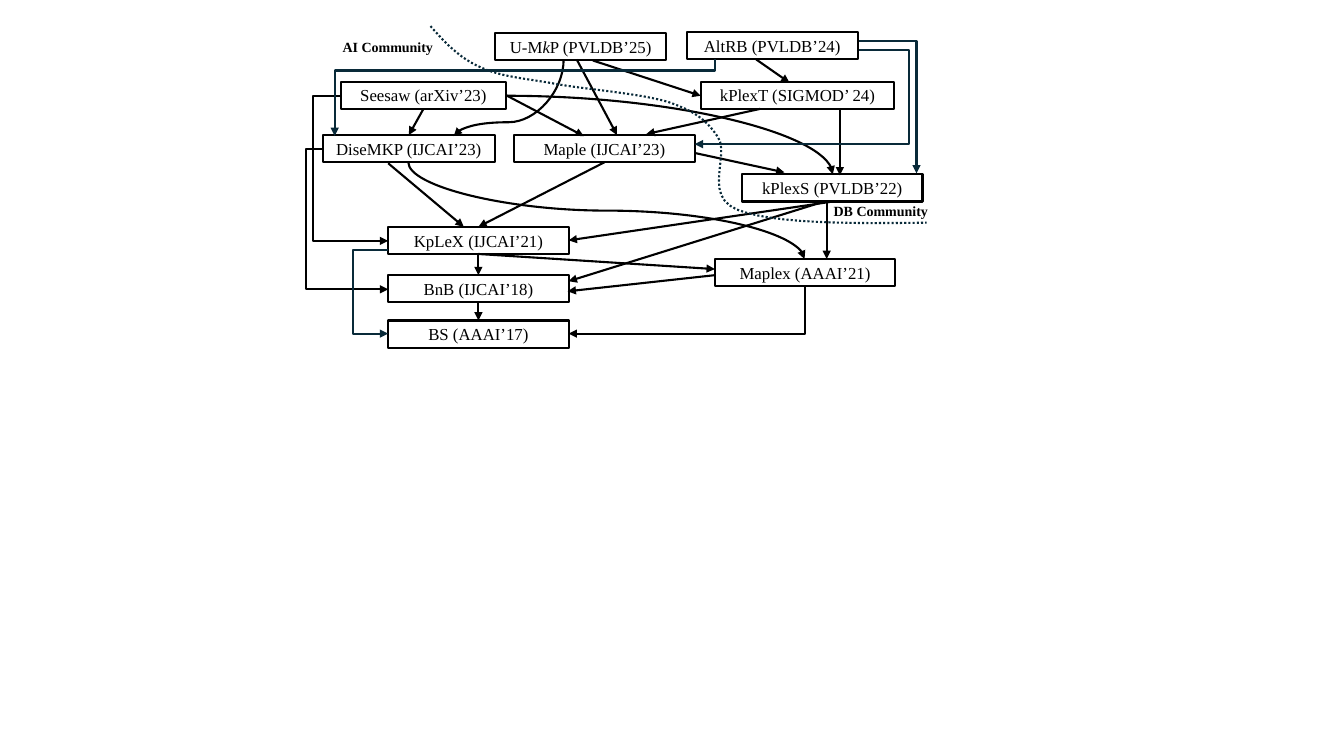
import math
from dataclasses import dataclass
from typing import NamedTuple, Optional, Union

import pptx
import pptx.dml.color
import pptx.enum.dml
import pptx.enum.shapes
import pptx.enum.text
import pptx.oxml
import pptx.oxml.ns
import pptx.shapes.base
import pptx.slide
import pptx.util
from pptx.util import Inches


@dataclass(frozen=True)
class Theme:
    font: str = "Times New Roman"
    ink: str = "000000"
    accent: str = "092A39"
    paper: str = "FFFFFF"
    box_size: float = 12
    label_size: float = 10
    line_width: float = 1.5


class Point(NamedTuple):
    x: float
    y: float


class Side(NamedTuple):
    box: str
    site: int


class Algorithm(NamedTuple):
    name: str
    label: str
    left: float
    top: float
    width: float = 1.79
    filled: bool = False


class Link(NamedTuple):
    begin: Union[Point, Side]
    end: Union[Point, Side]


class Route(NamedTuple):
    preset: str
    begin: Point
    end: Point
    turn: int = 0
    bend: Optional[float] = None


class Label(NamedTuple):
    text: str
    left: float
    top: float
    width: float


THEME = Theme()
BOX_HEIGHT = 0.27
TOP, LEFT, BOTTOM, RIGHT = range(4)

ALGORITHMS = [
    Algorithm("KpLeX", "KpLeX (IJCAI’21)", 3.85, 2.25),
    Algorithm("BS", "BS (AAAI’17)", 3.85, 3.18),
    Algorithm("BnB", "BnB (IJCAI’18)", 3.85, 2.73),
    Algorithm("Maplex", "Maplex (AAAI’21)", 7.09, 2.57),
    Algorithm("kPlexS", "kPlexS (PVLDB’22)", 7.36, 1.73),
    Algorithm("DiseMKP", "DiseMKP (IJCAI’23)", 3.2, 1.34, 1.71),
    Algorithm("Maple", "Maple (IJCAI’23)", 5.1, 1.34),
    Algorithm("Seesaw", "Seesaw (arXiv’23)", 3.38, 0.81, 1.64),
    Algorithm("kPlexT", "kPlexT (SIGMOD’ 24)", 6.95, 0.81, 1.92),
    Algorithm("U-MkP", "U-M*k*P (PVLDB’25)", 4.91, 0.33, 1.7, True),
    Algorithm("AltRB", "AltRB (PVLDB’24)", 6.81, 0.32, 1.7, True),
]

LINKS = [
    Link(Point(5.72, 0.59), Point(6.12, 1.34)),
    Link(Side("KpLeX", BOTTOM), Side("BnB", TOP)),
    Link(Side("KpLeX", BOTTOM), Point(7.09, 2.67)),
    Link(Point(8.2, 2.01), Point(8.2, 2.57)),
    Link(Point(8.14, 2.01), Point(5.64, 2.79)),
    Link(Side("kPlexS", BOTTOM), Side("KpLeX", RIGHT)),
    Link(Point(3.85, 1.62), Point(4.6, 2.25)),
    Link(Point(6.9, 1.52), Point(7.78, 1.71)),
    Link(Side("Maple", BOTTOM), Side("KpLeX", TOP)),
    Link(Side("Seesaw", BOTTOM), Side("DiseMKP", TOP)),
    Link(Side("Seesaw", RIGHT), Point(5.79, 1.35)),
    Link(Point(8.33, 1.09), Point(8.33, 1.74)),
    Link(Point(7.54, 1.08), Point(6.41, 1.33)),
    Link(Point(7.09, 2.73), Point(5.63, 2.89)),
    Link(Point(5.88, 0.6), Point(6.95, 0.95)),
    Link(Side("BnB", BOTTOM), Side("BS", TOP)),
    Link(Point(7.5, 0.59), Point(7.83, 0.82)),
]

ROUTES = [
    Route("curvedConnector3", Point(4.05, 1.61), Point(7.98, 2.57), 270, 0.5),
    Route("bentConnector3", Point(3.2, 1.48), Point(3.85, 2.87), 0, -0.26),
    Route("curvedConnector2", Point(5.02, 0.95), Point(8.26, 1.73)),
    Route("bentConnector3", Point(3.38, 0.95), Point(3.85, 2.39), 0, -0.59),
    Route("bentConnector2", Point(7.98, 2.84), Point(5.64, 3.31), 90),
    Route("curvedConnector3", Point(5.59, 0.59), Point(4.5, 1.35), 90, 0.82),
]

ACCENT_ARROWS = [
    [Point(7.09, 0.59), Point(7.09, 0.7), Point(3.32, 0.7), Point(3.32, 1.35)],
    [Point(8.52, 0.5), Point(9.02, 0.5), Point(9.02, 1.43), Point(6.89, 1.43)],
    [Point(3.85, 2.48), Point(3.5, 2.48), Point(3.5, 3.31), Point(3.85, 3.31)],
    [Point(8.52, 0.41), Point(9.09, 0.41), Point(9.09, 1.72)],
]

BOUNDARY = [Point(*pair) for pair in (
    (4.27, 0.26), (4.41, 0.42), (4.56, 0.58), (4.77, 0.67), (4.99, 0.77),
    (5.24, 0.78), (5.55, 0.84), (5.85, 0.89), (6.35, 0.93), (6.62, 1.01),
    (6.88, 1.1), (7, 1.18), (7.12, 1.36), (7.24, 1.54), (6.97, 1.94),
    (7.31, 2.08), (7.66, 2.22), (8.42, 2.22), (9.19, 2.21))]

LABELS = [Label("AI Community", 3.3, 0.33, 1.11),
          Label("DB Community", 8.17, 1.96, 1.15)]


def rgb(code: str) -> pptx.dml.color.RGBColor:
    return pptx.dml.color.RGBColor.from_string(code)


def style_line(shape, color: str, arrow: bool = True) -> None:
    shape.line.color.rgb = rgb(color)
    shape.line.width = pptx.util.Pt(THEME.line_width)
    if arrow:
        outline = shape._element.spPr.find(pptx.oxml.ns.qn("a:ln"))
        tail = pptx.oxml.parse_xml(f'<a:tailEnd {pptx.oxml.ns.nsdecls("a")} type="triangle"/>')
        outline.append(tail)


def style_font(font, size: float) -> None:
    font.name = THEME.font
    font.size = pptx.util.Pt(size)
    font.color.rgb = rgb(THEME.ink)


def draw_algorithm(slide: pptx.slide.Slide, item: Algorithm) -> pptx.shapes.base.BaseShape:
    box = slide.shapes.add_shape(
        pptx.enum.shapes.MSO_SHAPE.RECTANGLE, Inches(item.left), Inches(item.top),
        Inches(item.width), Inches(BOX_HEIGHT))
    box.shadow.inherit = False
    if item.filled:
        box.fill.solid()
        box.fill.fore_color.rgb = rgb(THEME.paper)
    else:
        box.fill.background()
    style_line(box, THEME.ink, arrow=False)
    frame = box.text_frame
    frame.word_wrap = True
    frame.vertical_anchor = pptx.enum.text.MSO_ANCHOR.MIDDLE
    frame.margin_top = frame.margin_bottom = 0
    para = frame.paragraphs[0]
    para.alignment = pptx.enum.text.PP_ALIGN.CENTER
    style_font(para.font, THEME.box_size)
    for index, part in enumerate(item.label.split("*")):
        span = para.add_run()
        span.text = part
        if index % 2:
            span.font.italic = True
    return box


def add_arrow(slide: pptx.slide.Slide, kind, begin: Point, end: Point):
    arrow = slide.shapes.add_connector(kind, *(Inches(value) for value in (*begin, *end)))
    style_line(arrow, THEME.ink)
    arrow._element.spPr.append(
        pptx.oxml.parse_xml(f'<a:effectLst {pptx.oxml.ns.nsdecls("a")}/>'))
    return arrow


def draw_link(slide: pptx.slide.Slide, link: Link, boxes: dict) -> None:
    points = [Point(0, 0) if isinstance(stop, Side) else stop for stop in link]
    arrow = add_arrow(slide, pptx.enum.shapes.MSO_CONNECTOR.STRAIGHT, *points)
    for stop, join in zip(link, (arrow.begin_connect, arrow.end_connect)):
        if isinstance(stop, Side):
            join(boxes[stop.box], stop.site)


def draw_route(slide: pptx.slide.Slide, route: Route) -> None:
    middle = Point((route.begin.x + route.end.x) / 2, (route.begin.y + route.end.y) / 2)
    cosine, sine = math.cos(math.radians(route.turn)), math.sin(math.radians(route.turn))

    def unturn(point: Point) -> Point:
        across, down = point.x - middle.x, point.y - middle.y
        return Point(middle.x + across * cosine + down * sine,
                     middle.y - across * sine + down * cosine)

    arrow = add_arrow(slide, pptx.enum.shapes.MSO_CONNECTOR.ELBOW,
                      unturn(route.begin), unturn(route.end))
    properties = arrow._element.spPr
    if route.turn:
        properties.find(pptx.oxml.ns.qn("a:xfrm")).set("rot", str(route.turn * 60000))
    geometry = properties.find(pptx.oxml.ns.qn("a:prstGeom"))
    geometry.set("prst", route.preset)
    if route.bend is not None:
        geometry.find(pptx.oxml.ns.qn("a:avLst")).append(pptx.oxml.parse_xml(
            f'<a:gd {pptx.oxml.ns.nsdecls("a")} name="adj1" fmla="val {round(route.bend * 100000)}"/>'))


def draw_polyline(slide: pptx.slide.Slide, points: list[Point], dotted: bool = False) -> None:
    corners = [(Inches(point.x), Inches(point.y)) for point in points]
    builder = slide.shapes.build_freeform(*corners[0])
    builder.add_line_segments(corners[1:], close=False)
    outline = builder.convert_to_shape()
    outline.shadow.inherit = False
    outline.fill.background()
    if dotted:
        outline.line.dash_style = pptx.enum.dml.MSO_LINE.ROUND_DOT
    style_line(outline, THEME.accent, arrow=not dotted)


def smooth_curve(controls: list[Point], steps: int = 12) -> list[Point]:
    curve = [controls[0]]
    for first in range(0, len(controls) - 1, 3):
        for step in range(1, steps + 1):
            t = step / steps
            weights = [math.comb(3, k) * t**k * (1 - t)**(3 - k) for k in range(4)]
            curve.append(Point(*(sum(w * value for w, value in zip(weights, axis))
                                 for axis in zip(*controls[first:first + 4]))))
    return curve


def draw_label(slide: pptx.slide.Slide, label: Label) -> None:
    box = slide.shapes.add_textbox(Inches(label.left), Inches(label.top),
                                   Inches(label.width), Inches(BOX_HEIGHT))
    box.text_frame.word_wrap = False
    box.text_frame.auto_size = pptx.enum.text.MSO_AUTO_SIZE.SHAPE_TO_FIT_TEXT
    para = box.text_frame.paragraphs[0]
    para.text = label.text
    style_font(para.font, THEME.label_size)
    para.font.bold = True


def main() -> None:
    deck = pptx.Presentation()
    deck.slide_width, deck.slide_height = Inches(13.33), Inches(7.5)
    page = deck.slides.add_slide(deck.slide_layouts[6])
    boxes = {item.name: draw_algorithm(page, item) for item in ALGORITHMS}
    for link in LINKS:
        draw_link(page, link, boxes)
    for route in ROUTES:
        draw_route(page, route)
    for points in ACCENT_ARROWS:
        draw_polyline(page, points)
    draw_polyline(page, smooth_curve(BOUNDARY), dotted=True)
    for label in LABELS:
        draw_label(page, label)
    deck.save("out.pptx")


if __name__ == "__main__":
    main()
